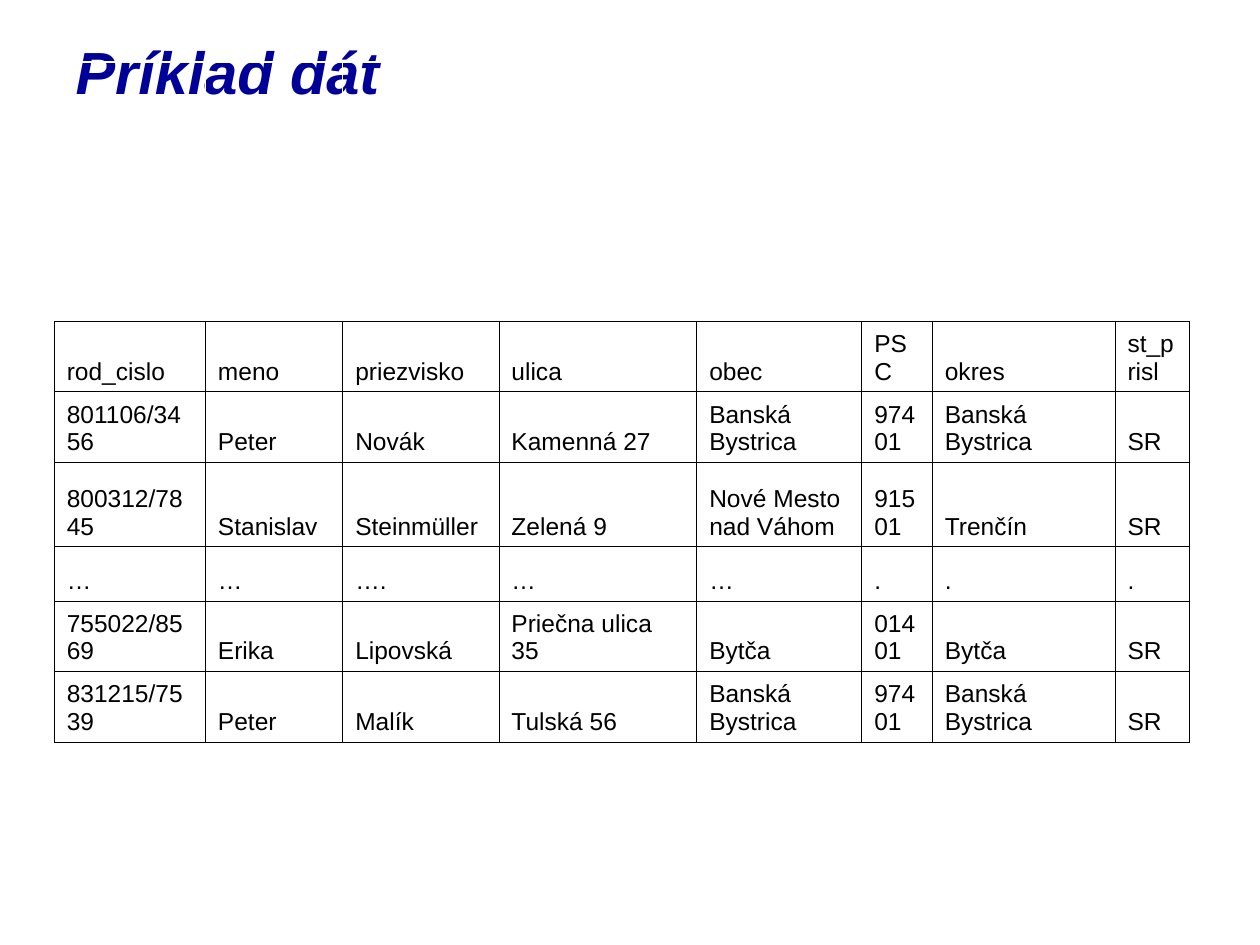
"""Build a slide with a title and a table of sample personal records."""
from lxml.etree import SubElement
from pptx import Presentation
from pptx.dml.color import RGBColor
from pptx.enum.text import MSO_ANCHOR, PP_ALIGN
from pptx.oxml.ns import qn
from pptx.util import Inches, Pt

COLORS = {"title": "000099", "text": "000000", "border": "000000"}
COL_WIDTHS = [1.2, 1.09, 1.24, 1.57, 1.31, 0.56, 1.45, 0.59]
ROW_HEIGHTS = [1.03, 1.03, 0.56, 0.56, 0.67, 0.43, 0.56, 0.56]
RECORDS = [
    ["rod_cislo", "meno", "priezvisko", "ulica", "obec", "PSC", "okres", "st_prisl"],
    ["801106/3456", "Peter", "Novák", "Kamenná 27", "Banská Bystrica", "97401", "Banská Bystrica", "SR"],
    ["800312/7845", "Stanislav", "Steinmüller", "Zelená 9", "Nové Mesto nad Váhom", "91501", "Trenčín", "SR"],
    ["…", "…", "….", "…", "…", ".", ".", "."],
    ["755022/8569", "Erika", "Lipovská", "Priečna ulica 35", "Bytča", "01401", "Bytča", "SR"],
    ["831215/7539", "Peter", "Malík", "Tulská 56", "Banská Bystrica", "97401", "Banská Bystrica", "SR"],
]
BLANK_ROWS = len(ROW_HEIGHTS) - len(RECORDS)


def set_font(p, size, color):
    p.font.name = "Arial"
    p.font.size = Pt(size)
    p.font.color.rgb = RGBColor.from_string(COLORS[color])


def add_borders(cell, sides):
    tc_pr = cell._tc.get_or_add_tcPr()
    for side in sides:
        ln = SubElement(tc_pr, qn(f"a:ln{side}"), w=str(Pt(0.45)))
        fill = SubElement(ln, qn("a:solidFill"))
        SubElement(fill, qn("a:srgbClr"), val=COLORS["border"])


prs = Presentation()
prs.slide_width, prs.slide_height = Inches(10), Inches(7.5)
W, H = prs.slide_width, prs.slide_height
s = prs.slides.add_slide(prs.slide_layouts[5])

title = s.shapes.title
title.left, title.top = int(W * 0.05), int(H * 0.04)
title.width, title.height = int(W * 0.9), int(H * 0.07)
tf = title.text_frame
tf.text = "Príklad dát"
tf.vertical_anchor = MSO_ANCHOR.MIDDLE
p = tf.paragraphs[0]
p.alignment = PP_ALIGN.LEFT
set_font(p, 34, "title")
p.font.bold = p.font.italic = True

table = s.shapes.add_table(
    len(ROW_HEIGHTS), len(COL_WIDTHS), Inches(0.43), Inches(0.49),
    Inches(sum(COL_WIDTHS)), Inches(sum(ROW_HEIGHTS))).table
table.first_row = table.horz_banding = False
for col, width in zip(table.columns, COL_WIDTHS):
    col.width = Inches(width)

for i, height in enumerate(ROW_HEIGHTS):
    table.rows[i].height = Inches(height)
    for j in range(len(COL_WIDTHS)):
        cell = table.cell(i, j)
        if i >= BLANK_ROWS:
            cell.text = RECORDS[i - BLANK_ROWS][j]
            cell.vertical_anchor = MSO_ANCHOR.BOTTOM
            set_font(cell.text_frame.paragraphs[0], 14, "text")
            add_borders(cell, "LRTB")
        elif i == BLANK_ROWS - 1:
            add_borders(cell, "B")
        cell.fill.background()

prs.save("out.pptx")
